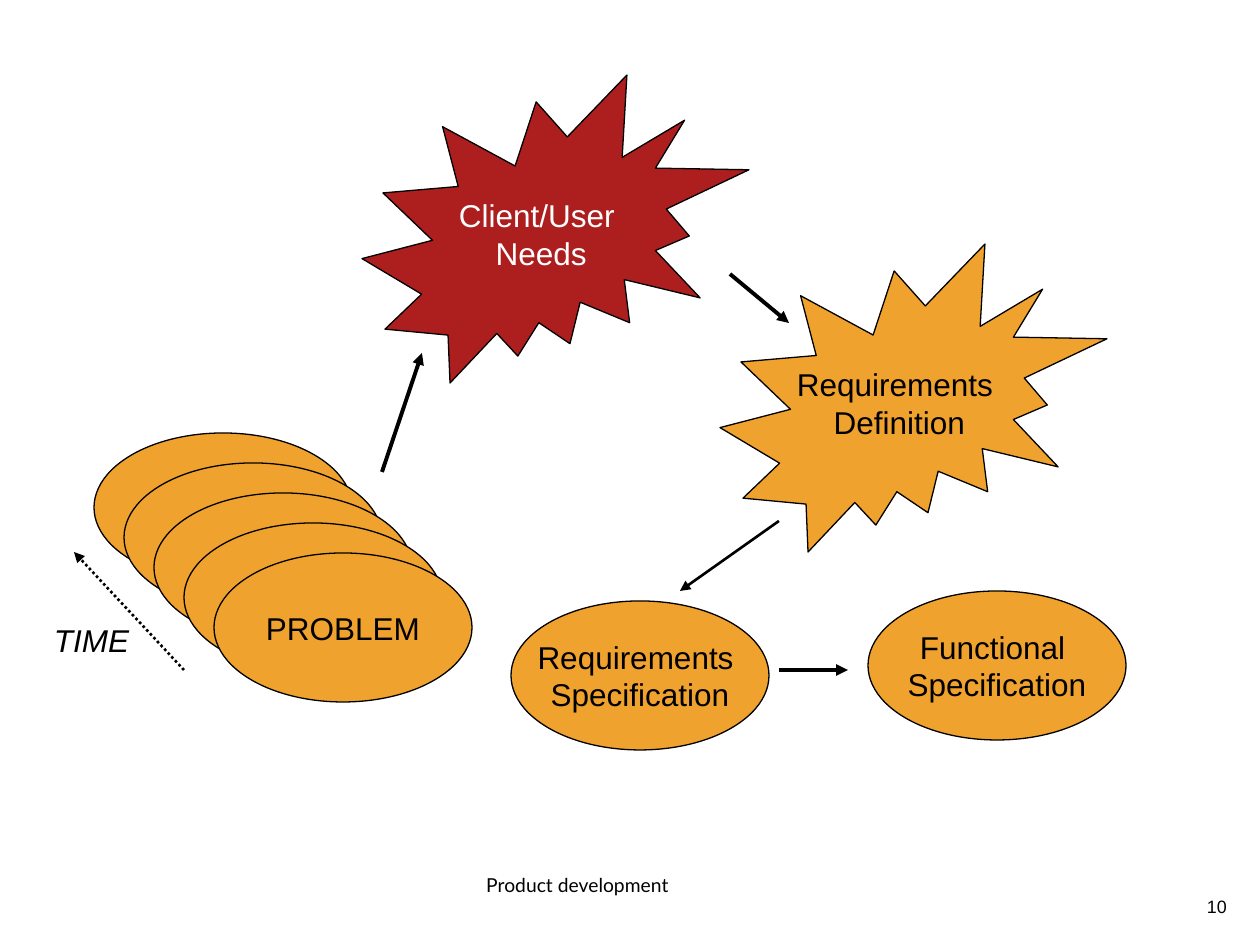
import lxml.etree
import pptx
import pptx.dml.color
import pptx.enum.dml
import pptx.enum.shapes
import pptx.enum.text
import pptx.oxml.ns
import pptx.util

PIXELS_PER_INCH = 126
COLOURS = {"black": "000000", "white": "FFFFFF", "orange": "F0A22E", "red": "AD1F1F"}
ELLIPSE = pptx.enum.shapes.MSO_SHAPE.OVAL
BURST = pptx.enum.shapes.MSO_SHAPE.EXPLOSION2
ALIGN = pptx.enum.text.PP_ALIGN
ELLIPSE_SIZE = (258, 149)
BURST_SIZE = (387, 308)


def px(length):
    return pptx.util.Emu(round(length * 914400 / PIXELS_PER_INCH))


def colour(name):
    return pptx.dml.color.RGBColor.from_string(COLOURS[name])


def write(frame, lines, size, align, font="Arial", ink="black", italic=None, spacing=None):
    for index, line in enumerate(lines):
        paragraph = frame.add_paragraph() if index else frame.paragraphs[0]
        paragraph.text = line
        paragraph.alignment = align
        paragraph.line_spacing = spacing
        paragraph.font.name = font
        paragraph.font.size = pptx.util.Pt(size)
        paragraph.font.italic = italic
        paragraph.font.color.rgb = colour(ink)


def add_label(slide, box, text, size, align, inset=True, **style):
    frame = slide.shapes.add_textbox(*map(px, box)).text_frame
    frame.word_wrap = True
    if not inset:
        frame.margin_left = frame.margin_right = 0
        frame.margin_top = frame.margin_bottom = 0
    write(frame, [text], size, align, **style)


def add_node(slide, kind, left, top, lines, fill="orange", ink="black"):
    size = BURST_SIZE if kind == BURST else ELLIPSE_SIZE
    shape = slide.shapes.add_shape(kind, *map(px, (left, top, *size)))
    shape.shadow.inherit = False
    shape.fill.solid()
    shape.fill.fore_color.rgb = colour(fill)
    shape.line.color.rgb = colour("black")
    shape.line.width = pptx.util.Pt(0.75)
    frame = shape.text_frame
    frame.word_wrap = False
    frame.vertical_anchor = pptx.enum.text.MSO_ANCHOR.MIDDLE
    write(frame, lines, 18, ALIGN.CENTER, ink=ink)


def add_arrow(slide, start, end, width=2.25, dash=None):
    connector = slide.shapes.add_connector(
        pptx.enum.shapes.MSO_CONNECTOR.STRAIGHT, *map(px, (*start, *end)))
    connector.line.color.rgb = colour("black")
    connector.line.width = pptx.util.Pt(width)
    if dash:
        connector.line.dash_style = dash
    qualified = pptx.oxml.ns.qn
    outline = connector.line._get_or_add_ln()
    lxml.etree.SubElement(outline, qualified("a:tailEnd"), type="triangle")
    lxml.etree.SubElement(connector._element.spPr, qualified("a:effectLst"))


def add_problem_stack(slide, left, top, step=30, count=5):
    for index in range(count):
        add_node(slide, ELLIPSE, left + 40 + index * step, top + index * step, ["PROBLEM"])
    add_arrow(slide, (left + 130, top + 237), (left + 20, top + 119), 1.5,
              pptx.enum.dml.MSO_LINE.ROUND_DOT)
    add_label(slide, (left, top + 188, 100, 38), "TIME", 18, ALIGN.LEFT,
              inset=False, italic=True)


def add_requirements_flow(slide, left, top):
    nodes = [
        (BURST, 0, 0, ["Client/User ", "Needs"], "red", "white"),
        (BURST, 358, 169, ["Requirements ", "Definition"], "orange", "black"),
        (ELLIPSE, 149, 526, ["Requirements ", "Specification"], "orange", "black"),
        (ELLIPSE, 506, 516, ["Functional ", "Specification"], "orange", "black"),
    ]
    arrows = [
        ((20, 397), (60, 278), 2.25),
        ((368, 199), (427, 248), 2.25),
        ((417, 446), (318, 516), 1.5),
        ((417, 595), (486, 595), 2.25),
    ]
    for kind, x, y, lines, fill, ink in nodes:
        add_node(slide, kind, left + x, top + y, lines, fill, ink)
    for (x1, y1), (x2, y2), width in arrows:
        add_arrow(slide, (left + x1, top + y1), (left + x2, top + y2), width)


def add_footer(slide, left, top):
    add_label(slide, (left, top, 399, 40), "Product development", 11, ALIGN.RIGHT,
              font="Lato", spacing=0.8)
    add_label(slide, (left + 852, top + 20, 105, 34), "10", 10.2, ALIGN.RIGHT, spacing=0.9)


def main():
    presentation = pptx.Presentation()
    presentation.slide_width = px(1260)
    presentation.slide_height = px(945)
    slide = presentation.slides.add_slide(presentation.slide_layouts[6])
    add_footer(slide, 282, 872)
    add_problem_stack(slide, 54, 433)
    add_requirements_flow(slide, 362, 75)
    presentation.save("out.pptx")


if __name__ == "__main__":
    main()
